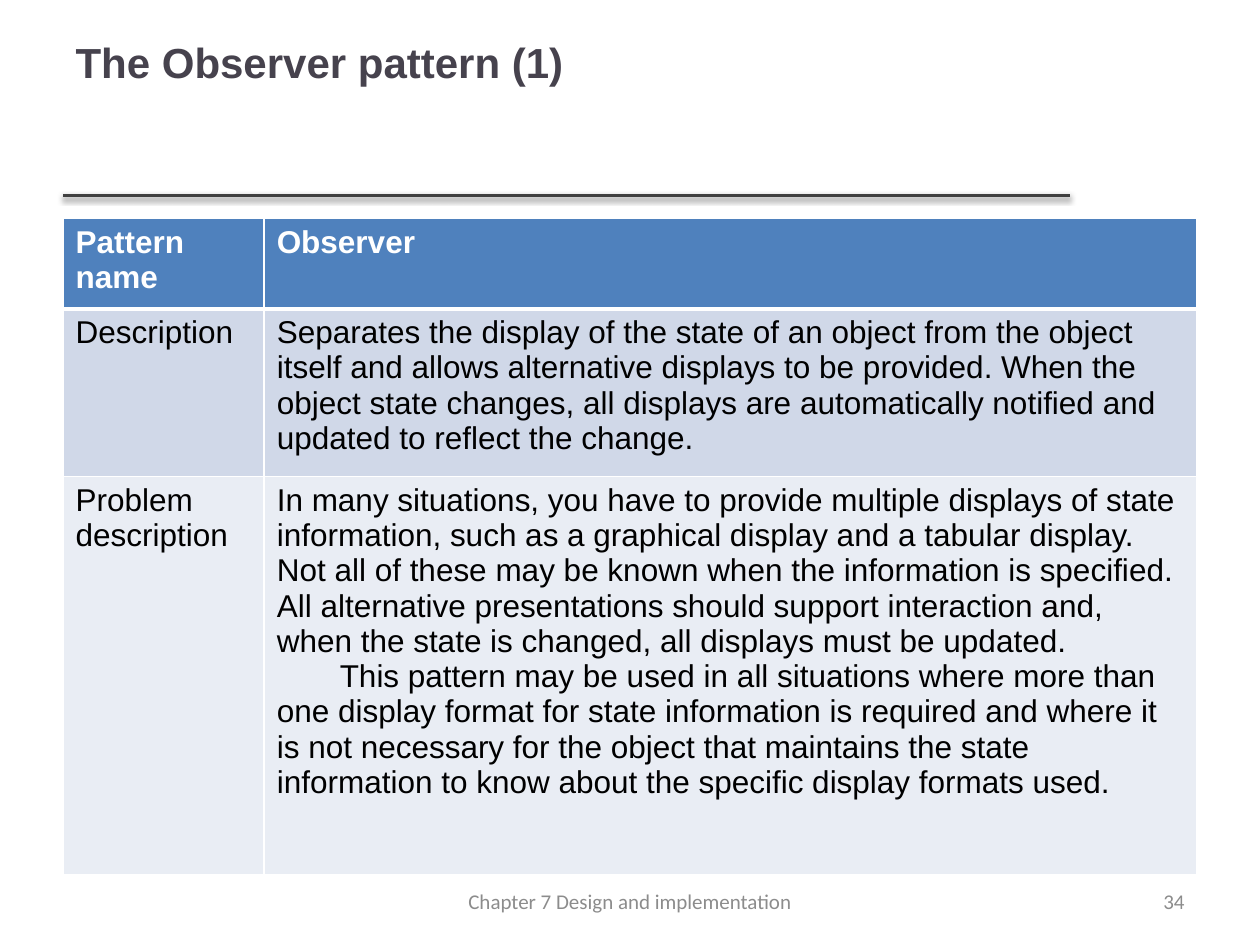
from dataclasses import dataclass

from lxml.etree import SubElement
from pptx import Presentation
from pptx.dml.color import RGBColor as RGB
from pptx.enum.shapes import MSO_CONNECTOR as Connector
from pptx.enum.text import MSO_ANCHOR as Anchor, PP_ALIGN as Align
from pptx.oxml.ns import qn
from pptx.util import Pt


@dataclass(frozen=True)
class Theme:
    heading_font: str = "Arial"
    footer_font: str = "Calibri"
    title_size: int = 24
    table_size: int = 18
    footer_size: int = 12
    title: str = "46424D"
    rule: str = "404040"
    header: str = "4F81BD"
    bands: tuple = ("D0D8E8", "E9EDF4")
    white: str = "FFFFFF"
    black: str = "000000"
    footer: str = "8C8C8C"


THEME = Theme()
TITLE = "The Observer pattern (1)"
# Each cell is a list of paragraphs
PATTERN = [
    (["Pattern name"], ["Observer"]),
    (["Description"],
     ["Separates the display of the state of an object from the object itself "
      "and allows alternative displays to be provided. When the object state "
      "changes, all displays are automatically notified and updated to reflect "
      "the change."]),
    (["Problem description"],
     ["In many situations, you have to provide multiple displays of state "
      "information, such as a graphical display and a tabular display. Not all "
      "of these may be known when the information is specified. All alternative "
      "presentations should support interaction and, when the state is changed, "
      "all displays must be updated.",
      "This pattern may be used in all situations where more than one display "
      "format for state information is required and where it is not necessary "
      "for the object that maintains the state information to know about the "
      "specific display formats used."]),
]


def add_run(paragraph, text, font, size, color, bold=False):
    run = paragraph.add_run()
    run.text = text
    run.font.name, run.font.size, run.font.bold = font, Pt(size), bold
    run.font.color.rgb = RGB.from_string(color)


def add_title(slide, left, top, width, height):
    title = slide.shapes.title
    title.left, title.top, title.width, title.height = map(
        Pt, (left, top, width, height))
    title.text_frame.vertical_anchor = Anchor.MIDDLE
    heading = title.text_frame.paragraphs[0]
    heading.alignment = Align.LEFT
    add_run(heading, TITLE, THEME.heading_font, THEME.title_size, THEME.title, True)


def add_rule(slide, left, top, width):
    rule = slide.shapes.add_connector(
        Connector.STRAIGHT, Pt(left), Pt(top), Pt(left + width), Pt(top))
    rule.line.color.rgb = RGB.from_string(THEME.rule)
    rule.line.width = Pt(2)
    # Soft shadow straight below the line
    effects = SubElement(rule._element.spPr, qn("a:effectLst"))
    shadow = SubElement(effects, qn("a:outerShdw"), blurRad=str(Pt(3.1)),
                        dist=str(Pt(1.6)), dir="5400000", rotWithShape="0")
    color = SubElement(shadow, qn("a:srgbClr"), val=THEME.black)
    SubElement(color, qn("a:alpha"), val="38000")


def add_borders(cell, top, bottom):
    properties = cell._tc.get_or_add_tcPr()
    for side, width in (("L", 1), ("R", 1), ("T", top), ("B", bottom)):
        border = SubElement(properties, qn(f"a:ln{side}"), w=str(Pt(width)))
        fill = SubElement(border, qn("a:solidFill"))
        SubElement(fill, qn("a:srgbClr"), val=THEME.white)


def add_pattern_table(slide, left, top, col_widths, row_heights):
    table = slide.shapes.add_table(
        len(row_heights), len(col_widths), Pt(left), Pt(top),
        Pt(sum(col_widths)), Pt(sum(row_heights))).table
    for column, width in zip(table.columns, col_widths):
        column.width = Pt(width)
    for row, height in zip(table.rows, row_heights):
        row.height = Pt(height)

    for r, entries in enumerate(PATTERN):
        is_header = r == 0
        band = THEME.header if is_header else THEME.bands[(r - 1) % 2]
        ink = THEME.white if is_header else THEME.black
        for c, paragraphs in enumerate(entries):
            cell = table.cell(r, c)
            add_borders(cell, top=3 if r == 1 else 1, bottom=3 if is_header else 1)
            cell.fill.solid()
            cell.fill.fore_color.rgb = RGB.from_string(band)
            frame = cell.text_frame
            for i, text in enumerate(paragraphs):
                paragraph = frame.add_paragraph() if i else frame.paragraphs[0]
                if i:  # later paragraphs start with an indented first line
                    paragraph._p.get_or_add_pPr().set("indent", str(Pt(36)))
                add_run(paragraph, text, THEME.heading_font, THEME.table_size,
                        ink, is_header)


def add_footer(slide, text, align, left, top, width, height):
    frame = slide.shapes.add_textbox(
        *map(Pt, (left, top, width, height))).text_frame
    frame.word_wrap = True
    frame.vertical_anchor = Anchor.MIDDLE
    line = frame.paragraphs[0]
    line.alignment = align
    add_run(line, text, THEME.footer_font, THEME.footer_size, THEME.footer)


def main():
    deck = Presentation()
    deck.slide_width, deck.slide_height = Pt(720), Pt(540)
    slide = deck.slides.add_slide(deck.slide_layouts[5])
    margin, content_width = 36, 648

    add_rule(slide, margin, 111.6, 575.3)
    add_title(slide, margin, -10, content_width, 90)
    add_pattern_table(slide, margin, 124.7, (115, content_width - 115),
                      (51.8, 95.8, 227.5))
    add_footer(slide, "34", Align.RIGHT, 516, 500.5, 168, 28.8)
    add_footer(slide, "Chapter 7 Design and implementation", Align.CENTER,
               246, 500.5, 228, 28.8)
    deck.save("out.pptx")


if __name__ == "__main__":
    main()
